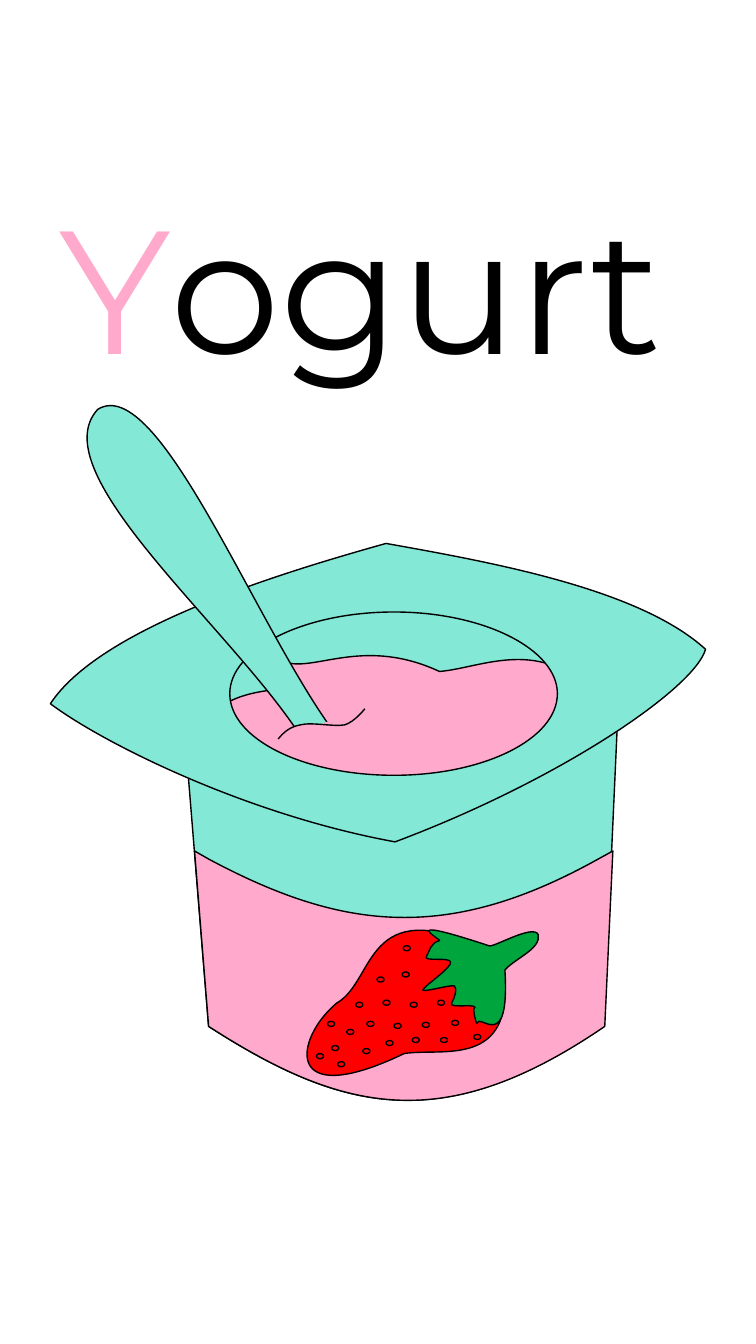
from pptx import Presentation
from pptx.dml.color import RGBColor
from pptx.enum import shapes, text
from pptx.oxml import ns, xmlchemy
from pptx.util import Inches, Pt

COLORS = {
    "black": "000000",
    "pink": "FFA9CC",
    "mint": "83E8D6",
    "red": "FF0000",
    "green": "00A53E",
}
CURVE_STEPS = 24
SEED_SIZE = (0.07, 0.05)

CUP = [[(1.76, 6.36), (4.21, 5.17, 5.72, 5.98, 6.16, 6.41), (5.99, 10.18),
        (4.41, 11.26, 3.42, 11.05, 2.07, 10.18), (1.76, 6.36)]]
LABEL = [[(1.93, 8.44), (2.07, 8.52), (3.36, 9.21, 4.4, 9.36, 5.88, 8.55),
          (6.08, 8.44), (6, 10.18), (4.42, 11.26, 3.42, 11.05, 2.07, 10.18),
          (1.93, 8.44)]]
YOGURT = [[(2.88, 6.58), (3.18, 6.63, 3.65, 6.33, 4.36, 6.66),
           (4.77, 6.63, 5.39, 6.29, 5.91, 6.92),
           (5.55, 7.19, 5.51, 7.47, 4.81, 7.74), (2.66, 7.74),
           (2.2, 7.59, 1.65, 6.96, 2.73, 6.84),
           (2.77, 6.65, 2.55, 6.59, 2.88, 6.58)]]
LID = [
    [(3.83, 5.39), (4.89, 5.58, 6.34, 5.84, 7, 6.44),
     (6.89, 6.83, 5.55, 7.74, 3.92, 8.35),
     (2.44, 8.08, 1.02, 7.37, 0.5, 6.98),
     (0.99, 6.24, 2.69, 5.71, 3.83, 5.39)],
    [(3.91, 6.07), (3.01, 6.07, 2.28, 6.44, 2.28, 6.88),
     (2.28, 7.33, 3.01, 7.69, 3.91, 7.69),
     (4.8, 7.69, 5.53, 7.33, 5.53, 6.88),
     (5.53, 6.44, 4.8, 6.07, 3.91, 6.07)],
]
SPOON = [[(0.97, 4.06), (1.57, 3.69, 2.53, 6.2, 3.32, 7.27), (3.02, 7.36),
          (2.34, 6.26, 0.39, 4.69, 0.97, 4.06)]]
SPOON_COVER = [[(3.75, 6.95), (4.01, 6.96, 4, 7.04, 4.04, 7.15),
                (3.9, 7.25, 3.29, 7.35, 3.03, 7.46),
                (2.79, 7.39, 2.82, 7.38, 2.76, 7.31),
                (2.82, 7.24, 3.26, 7.18, 3.43, 7.12),
                (3.59, 7.06, 3.64, 6.94, 3.75, 6.95)]]
RIPPLE = [[(2.76, 7.33), (2.81, 7.27, 2.87, 7.21, 2.98, 7.19),
           (3.09, 7.16, 3.31, 7.21, 3.42, 7.19),
           (3.52, 7.16, 3.62, 7.03, 3.62, 7.03)]]
BERRY = [[(4.82, 9.41), (5, 9.64), (5.11, 10.61, 4.38, 10.39, 4.01, 10.45),
          (2.8, 11.03, 2.92, 10.3, 3.34, 9.95),
          (3.73, 9.73, 3.61, 8.85, 4.82, 9.41)]]
LEAVES = [[(4.85, 9.38), (4.88, 9.41, 5.29, 9.16, 5.34, 9.27),
           (5.37, 9.41, 5.12, 9.5, 5.01, 9.62),
           (5.06, 10.47, 4.76, 10.04, 4.73, 10.15),
           (4.72, 10.14, 4.7, 10.04, 4.7, 10.01),
           (4.78, 9.94, 4.45, 10.01, 4.48, 9.95),
           (4.51, 9.9, 4.54, 9.81, 4.51, 9.78),
           (4.48, 9.76, 4.15, 9.86, 4.2, 9.81),
           (4.25, 9.75, 4.49, 9.59, 4.47, 9.54),
           (4.45, 9.49, 4.21, 9.54, 4.23, 9.49),
           (4.26, 9.44, 4.27, 9.35, 4.36, 9.33),
           (4.4, 9.33, 3.88, 9.06, 4.85, 9.38)]]
SEEDS = [
    (4, 9.38), (3.99, 9.64), (3.74, 9.69), (3.8, 9.92), (4.07, 9.94),
    (4.34, 9.92), (4.19, 10.14), (4.48, 10.12), (4.37, 10.29),
    (4.7, 10.26), (4.09, 10.29), (3.91, 10.15), (3.53, 9.94),
    (3.64, 10.13), (3.83, 10.32), (3.6, 10.4), (3.44, 10.21),
    (3.25, 10.13), (3.29, 10.37), (3.35, 10.53), (3.14, 10.45),
]


def color(name):
    return RGBColor.from_string(COLORS[name])


def pairs(segment):
    return list(zip(segment[::2], segment[1::2]))


def curve_point(controls, t):
    weights = ((1 - t) ** 3, 3 * t * (1 - t) ** 2, 3 * t ** 2 * (1 - t), t ** 3)
    return tuple(sum(w * v for w, v in zip(weights, axis)) for axis in zip(*controls))


def corners(contours):
    points = []
    for contour in contours:
        for segment in contour:
            if len(segment) == 6:
                controls = [points[-1]] + pairs(segment)
                points += [curve_point(controls, step / CURVE_STEPS)
                           for step in range(1, CURVE_STEPS)]
            points.append(segment[-2:])
    across, down = zip(*points)
    return (Inches(min(across)), Inches(min(down))), (Inches(max(across)), Inches(max(down)))


def add_command(geometry, tag, points=()):
    command = xmlchemy.OxmlElement(tag)
    for x, y in points:
        point = xmlchemy.OxmlElement("a:pt")
        point.set("x", str(x))
        point.set("y", str(y))
        command.append(point)
    geometry.append(command)


def paint(shape, fill, outlined=True):
    shape.shadow.inherit = False
    shape.fill.solid()
    shape.fill.fore_color.rgb = color(fill)
    if outlined:
        shape.line.color.rgb = color("black")
        shape.line.width = Pt(1)
    else:
        shape.line.fill.background()


def add_outline(page, contours, fill, outlined=True, closed=True):
    (left, top), end = corners(contours)
    builder = page.shapes.build_freeform(left, top, scale=1.0)
    builder.add_line_segments([end], close=False)
    shape = builder.convert_to_shape()
    geometry = next(shape.element.iter(ns.qn("a:path")))
    for command in list(geometry):
        geometry.remove(command)
    for contour in contours:
        for index, segment in enumerate(contour):
            curved = "a:cubicBezTo" if len(segment) == 6 else "a:lnTo"
            tag = curved if index else "a:moveTo"
            add_command(geometry, tag, [(Inches(x) - left, Inches(y) - top)
                                        for x, y in pairs(segment)])
        if closed:
            add_command(geometry, "a:close")
    paint(shape, fill, outlined)


def add_seed(page, left, top):
    width, height = SEED_SIZE
    seed = page.shapes.add_shape(shapes.MSO_SHAPE.OVAL, Inches(left), Inches(top),
                                 Inches(width), Inches(height))
    paint(seed, "red")


def add_span(para, content, *, size, font, fill):
    span = para.add_run()
    span.text = content
    span.font.size = Pt(size)
    span.font.name = font
    span.font.color.rgb = color(fill)


def add_title(page):
    box = page.shapes.add_textbox(Inches(0.49), Inches(1.73), Inches(6.91), Inches(2.2))
    frame = box.text_frame
    frame.word_wrap = True
    frame.auto_size = text.MSO_AUTO_SIZE.SHAPE_TO_FIT_TEXT
    for content, fill in (("Y", "pink"), ("ogurt", "black")):
        add_span(frame.paragraphs[0], content, size=125, font="Montserrat", fill=fill)


def main():
    deck = Presentation()
    deck.slide_width, deck.slide_height = Inches(7.5), Inches(13.33)
    page = deck.slides.add_slide(deck.slide_layouts[6])
    add_title(page)
    add_outline(page, CUP, "mint")
    add_outline(page, LABEL, "pink")
    add_outline(page, YOGURT, "pink")
    add_outline(page, LID, "mint")
    add_outline(page, SPOON, "mint")
    add_outline(page, SPOON_COVER, "pink", outlined=False)
    add_outline(page, RIPPLE, "pink", closed=False)
    add_outline(page, BERRY, "red")
    add_outline(page, LEAVES, "green")
    for left, top in SEEDS:
        add_seed(page, left, top)
    deck.save("out.pptx")


if __name__ == "__main__":
    main()
